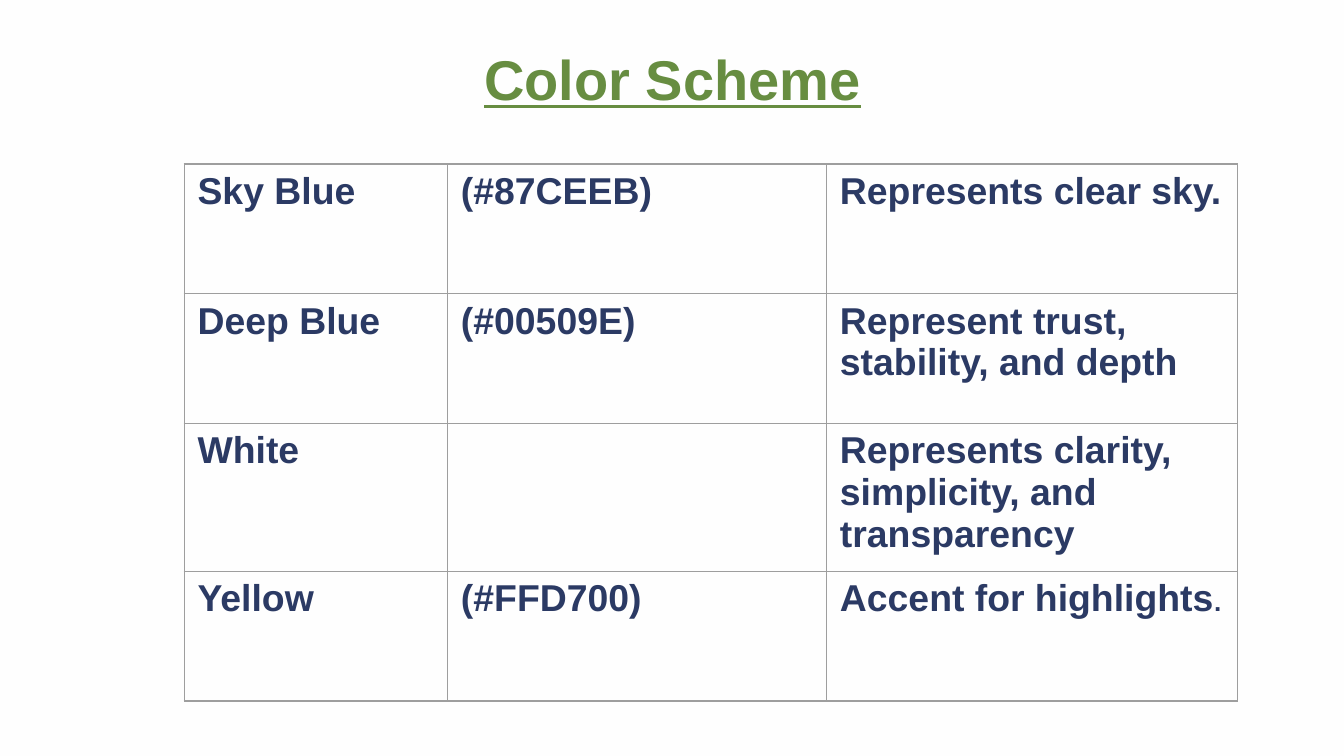
from pptx import Presentation
from pptx.dml.color import RGBColor as RGB
from pptx.enum.text import MSO_ANCHOR as ANCHOR, PP_ALIGN as ALIGN
from pptx.oxml import parse_xml
from pptx.oxml.ns import nsdecls
from pptx.util import Pt

PX = 4572
COLORS = {"bg": "FEFEFE", "title": "678D41", "text": "2B3A64", "border": "9E9E9E"}
COLUMNS = [392, 564, 612]
ROW_HEIGHTS = [193, 193, 206, 193]
SCHEME = [
    ["Sky Blue", "(#87CEEB)", "Represents clear sky."],
    ["Deep Blue", "(#00509E)", "Represent trust, stability, and depth"],
    ["White", "", "Represents clarity, simplicity, and transparency"],
    ["Yellow", "(#FFD700)", "Accent for highlights"],
]


def add_run(p, text, size=20, color="text", bold=True, underline=None):
    r = p.add_run()
    r.text = text
    r.font.name = "Arial"
    r.font.size = Pt(size)
    r.font.bold = bold
    r.font.underline = underline
    r.font.color.rgb = RGB.from_string(COLORS[color])


class Deck:
    def __init__(self, width, height):
        self.prs = Presentation()
        self.prs.slide_width, self.prs.slide_height = width * PX, height * PX
        self.slide = self.prs.slides.add_slide(self.prs.slide_layouts[6])
        fill = self.slide.background.fill
        fill.solid()
        fill.fore_color.rgb = RGB.from_string(COLORS["bg"])

    def title(self, text, x, y, w, h):
        sp = self.slide.shapes.add_textbox(x * PX, y * PX, w * PX, h * PX)
        tf = sp.text_frame
        tf.word_wrap = True
        tf.vertical_anchor = ANCHOR.MIDDLE
        tf.margin_left = tf.margin_right = tf.margin_top = tf.margin_bottom = 20 * PX
        p = tf.paragraphs[0]
        p.alignment = ALIGN.CENTER
        add_run(p, text, size=30, color="title", underline=True)

    def borders(self, cell):
        tc_pr = cell._tc.get_or_add_tcPr()
        for i, side in enumerate(("lnL", "lnR", "lnT", "lnB")):
            tc_pr.insert(i, parse_xml(
                f'<a:{side} {nsdecls("a")} w="{Pt(0.75)}"><a:solidFill>'
                f'<a:srgbClr val="{COLORS["border"]}"/></a:solidFill></a:{side}>'))

    def table(self, rows, x, y, h, widths, heights):
        frame = self.slide.shapes.add_table(
            len(rows), len(widths), x * PX, y * PX, sum(widths) * PX, h * PX)
        table = frame.table
        table.first_row = table.horz_banding = False
        for column, width in zip(table.columns, widths):
            column.width = width * PX
        for row, height, texts in zip(table.rows, heights, rows):
            row.height = height * PX
            for cell, text in zip(row.cells, texts):
                cell.fill.background()
                self.borders(cell)
                if text:
                    add_run(cell.text_frame.paragraphs[0], text)
        frame.height = h * PX
        return table


def main():
    deck = Deck(2000, 1125)
    deck.title("Color Scheme", 158, 39, 1686, 154)
    table = deck.table(SCHEME, 274, 244, 798, COLUMNS, ROW_HEIGHTS)
    add_run(table.cell(3, 2).text_frame.paragraphs[0], ".", size=14)
    deck.prs.save("out.pptx")


if __name__ == "__main__":
    main()
